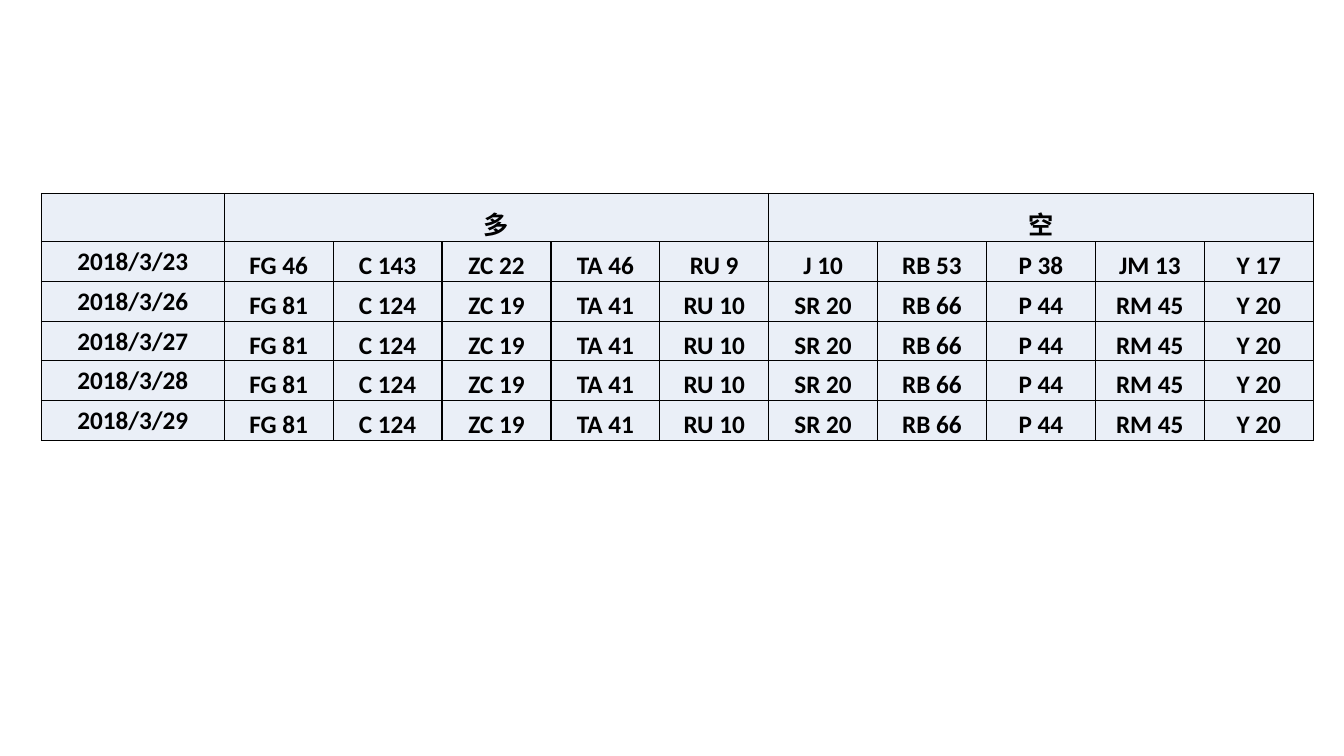
import dataclasses

import pptx
import pptx.dml.color
import pptx.enum.text
import pptx.oxml
import pptx.oxml.ns
import pptx.util

ANCHOR = pptx.enum.text.MSO_ANCHOR


@dataclasses.dataclass(frozen=True)
class Theme:
    font: str = "Calibri"
    size: int = 18
    ink: str = "000000"
    cell: str = "EAEFF7"
    border: int = 1
    column: float = 1.08  # grid unit across, inches
    row: float = 0.394  # grid unit down, inches


# Contracts held on each day: five long, then five short
SIDES = ["多", "空"]
PER_SIDE = 5
FIRST_DAY = ["FG 46", "C 143", "ZC 22", "TA 46", "RU 9",
             "J 10", "RB 53", "P 38", "JM 13", "Y 17"]
LATER_DAYS = ["FG 81", "C 124", "ZC 19", "TA 41", "RU 10",
              "SR 20", "RB 66", "P 44", "RM 45", "Y 20"]
POSITIONS = {"2018/3/23": FIRST_DAY}
POSITIONS.update({f"2018/3/{day}": LATER_DAYS for day in range(26, 30)})


def write_text(frame, text, *, font, size, color, bold=True,
               align=pptx.enum.text.PP_ALIGN.CENTER):
    para = frame.paragraphs[0]
    para.alignment = align
    span = para.add_run()
    span.text = text
    span.font.name = font
    span.font.size = pptx.util.Pt(size)
    span.font.bold = bold
    span.font.color.rgb = pptx.dml.color.RGBColor.from_string(color)


class SlideBuilder:
    def __init__(self, page, theme):
        self.page = page
        self.theme = theme

    def across(self, columns):
        return pptx.util.Inches(columns * self.theme.column)

    def down(self, rows):
        return pptx.util.Inches(rows * self.theme.row)

    def table(self, left, top, widths, heights):
        table = self.page.shapes.add_table(
            len(heights), len(widths), self.across(left), self.down(top),
            self.across(sum(widths)), self.down(sum(heights))).table
        table.first_row = table.horz_banding = False
        for column, width in zip(table.columns, widths):
            column.width = self.across(width)
        for row, height in zip(table.rows, heights):
            row.height = self.down(height)
        for cell in table.iter_cells():
            self.style_cell(cell)
        return table

    def style_cell(self, cell):
        cell.margin_left = cell.margin_right = cell.margin_top = pptx.util.Inches(0.01)
        cell.margin_bottom = 0
        cell.fill.solid()
        cell.fill.fore_color.rgb = pptx.dml.color.RGBColor.from_string(self.theme.cell)
        # Borders come before the fill in the cell properties
        properties = cell.fill._xPr
        for place, side in enumerate("LRTB"):
            line = pptx.oxml.parse_xml(
                f'<a:ln{side} {pptx.oxml.ns.nsdecls("a")} '
                f'w="{pptx.util.Pt(self.theme.border)}"><a:solidFill>'
                f'<a:srgbClr val="{self.theme.ink}"/></a:solidFill></a:ln{side}>')
            properties.insert(place, line)

    def fill_cell(self, cell, text, anchor=ANCHOR.BOTTOM):
        cell.vertical_anchor = anchor
        write_text(cell.text_frame, text, font=self.theme.font,
                   size=self.theme.size, color=self.theme.ink)


def main():
    deck = pptx.Presentation()
    deck.slide_width = pptx.util.Inches(13.33)
    deck.slide_height = pptx.util.Inches(7.5)
    builder = SlideBuilder(deck.slides.add_slide(deck.slide_layouts[6]), Theme())

    # Position table
    table = builder.table(
        left=0.38, top=4.87,
        widths=[1.68] + [1] * (PER_SIDE * len(SIDES)),
        heights=[1.22] + [1] * len(POSITIONS))

    # Long and short headings
    for index, side in enumerate(SIDES):
        first = 1 + index * PER_SIDE
        heading = table.cell(0, first)
        heading.merge(table.cell(0, first + PER_SIDE - 1))
        builder.fill_cell(heading, side)

    # One row for each day
    for row, (date, contracts) in enumerate(POSITIONS.items(), start=1):
        builder.fill_cell(table.cell(row, 0), date, anchor=ANCHOR.MIDDLE)
        for column, contract in enumerate(contracts, start=1):
            builder.fill_cell(table.cell(row, column), contract)

    deck.save("out.pptx")


if __name__ == "__main__":
    main()
